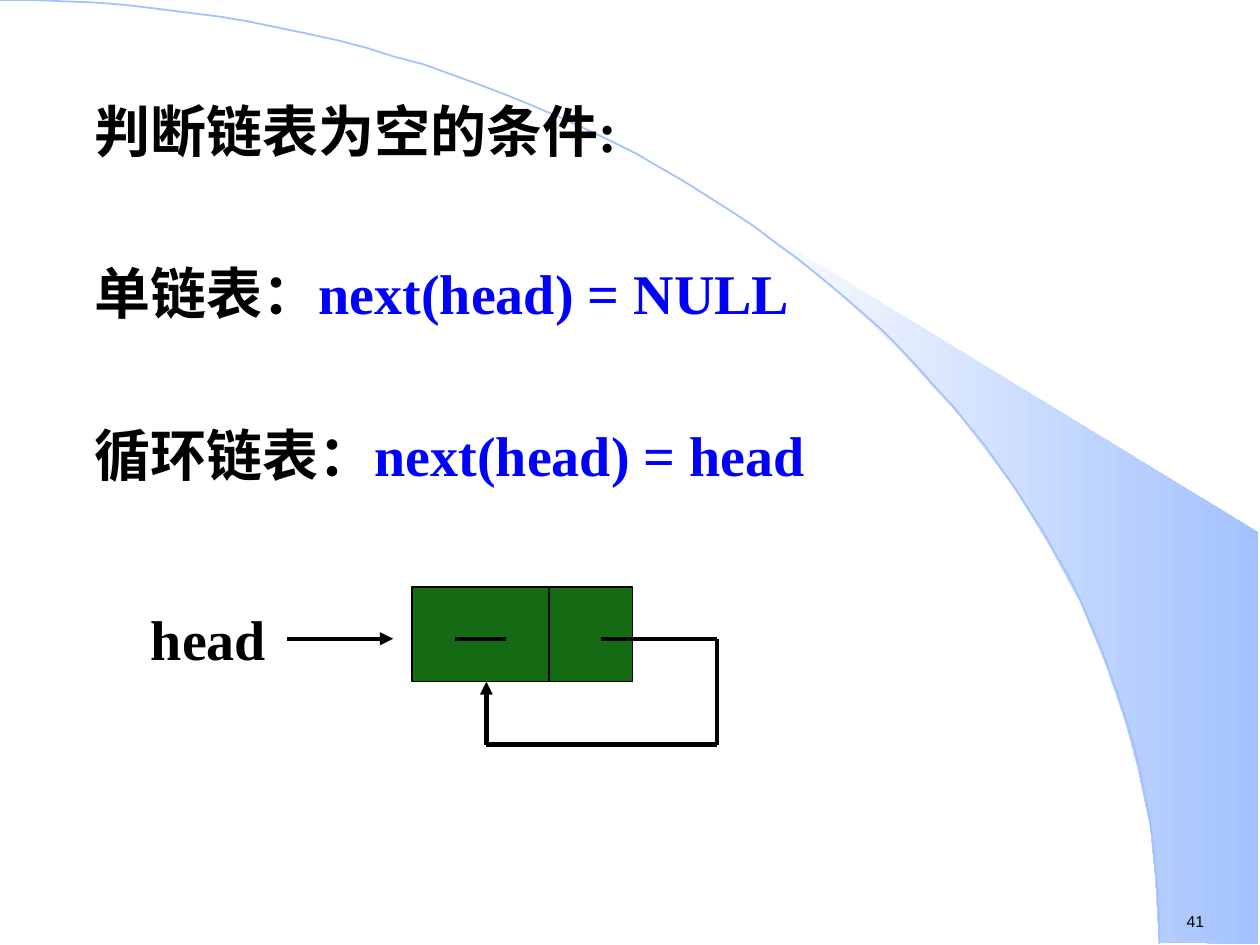
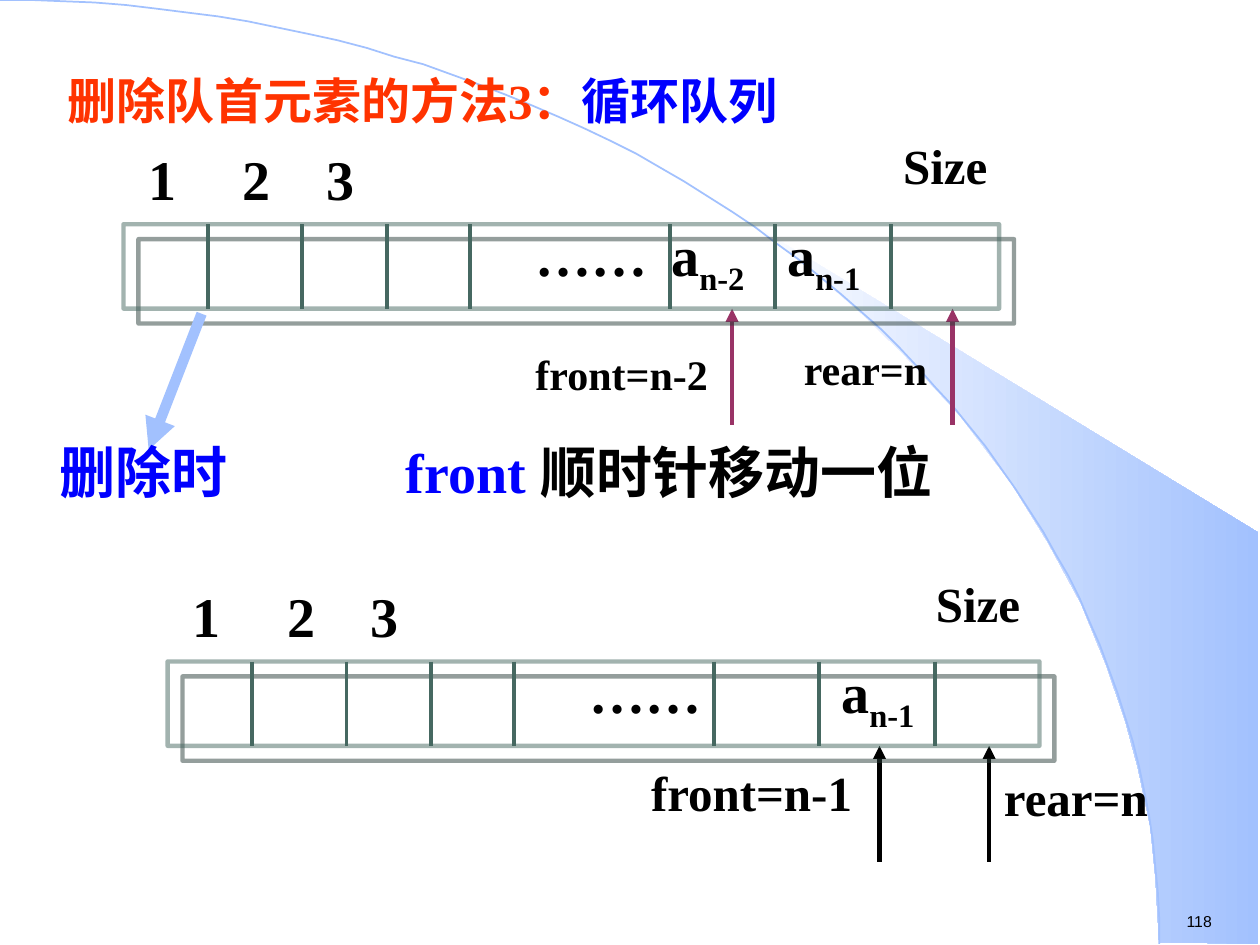
"""Build two slides on linked lists and circular queues."""
from lxml import etree
from pptx import Presentation
from pptx import util as u
from pptx.dml.color import RGBColor
from pptx.enum import shapes, text
from pptx.oxml.ns import qn

PX = 9144
BLACK = RGBColor(0x00, 0x00, 0x00)
WHITE = RGBColor(0xFF, 0xFF, 0xFF)
BLUE = RGBColor(0x00, 0x00, 0xFF)
ORANGE = RGBColor(0xFF, 0x33, 0x00)
SKY = RGBColor(0xA2, 0xC1, 0xFE)
GREEN = RGBColor(0x15, 0x6B, 0x13)
TEAL = RGBColor(0x46, 0x68, 0x61)
SHADE = RGBColor(0x2A, 0x3E, 0x3A)
PLUM = RGBColor(0x99, 0x33, 0x66)

WEDGE = [(920, 748), (999, 749), (999, 423), (589, 173), (624, 199), (653, 222),
         (685, 250), (716, 280), (762, 330), (803, 384), (832, 431), (858, 479),
         (878, 528), (893, 572), (903, 609), (913, 656), (917, 696)]
ARC = [(0, 0), (508, 0), (920, 335), (920, 749)]
DIVIDERS = [67, 142, 209, 275, 434, 517, 609]
CELL_HEIGHT = 67


def bezier(controls, steps):
    weights = (1, 3, 3, 1)
    points = []
    for step in range(steps + 1):
        t = step / steps
        blend = [w * (1 - t) ** (3 - i) * t ** i for i, w in enumerate(weights)]
        points.append(tuple(sum(b * c[axis] for b, c in zip(blend, controls))
                            for axis in (0, 1)))
    return points


def add_span(para, words, size=32, color=BLACK, font="Times New Roman", bold=True,
             subscript=False):
    span = para.add_run()
    span.text = words
    span.font.name = font
    span.font.size = u.Pt(size)
    span.font.bold = bold
    span.font.color.rgb = color
    if subscript:
        span._r.get_or_add_rPr().set("baseline", "-25000")


class Sketch:
    def __init__(self):
        self.deck = Presentation()
        self.deck.slide_width = 1000 * PX
        self.deck.slide_height = 750 * PX
        self.page = None

    def new_page(self, number):
        self.page = self.deck.slides.add_slide(self.deck.slide_layouts[6]).shapes
        wedge = self.outline(WEDGE, True)
        wedge.line.fill.background()
        wedge.fill.gradient()
        wedge.fill.gradient_angle = 0
        for stop, position, color in zip(wedge.fill.gradient_stops, (0, 1), (WHITE, SKY)):
            stop.position = position
            stop.color.rgb = color
        arc = self.outline(bezier(ARC, 60), False)
        arc.fill.background()
        arc.line.color.rgb = SKY
        arc.line.width = u.Pt(1)
        self.label(932, 719, 77, 25, number, size=9, font="Arial", bold=False)

    def outline(self, points, close):
        builder = self.page.build_freeform(*points[0], scale=PX)
        builder.add_line_segments(points[1:], close=close)
        shape = builder.convert_to_shape()
        shape.shadow.inherit = False
        return shape

    def rectangle(self, left, top, width, height, color, weight, fill=None):
        box = self.page.add_shape(shapes.MSO_SHAPE.RECTANGLE, left * PX, top * PX,
                                  width * PX, height * PX)
        box.shadow.inherit = False
        box.line.color.rgb = color
        box.line.width = u.Pt(weight)
        if fill is None:
            box.fill.background()
        else:
            box.fill.solid()
            box.fill.fore_color.rgb = fill
        return box

    def shadowed_frame(self, left, top, width, height):
        properties = self.rectangle(left, top, width, height, TEAL, 2.5)._element.spPr
        line_color = next(properties.iter(qn("a:srgbClr")))
        etree.SubElement(line_color, qn("a:alpha"), val="50000")
        shadow = etree.SubElement(properties.find(qn("a:effectLst")), qn("a:outerShdw"),
                                  dist=str(u.Pt(12.1)), dir="2700000", algn="ctr",
                                  rotWithShape="0")
        etree.SubElement(shadow, qn("a:srgbClr"), val=str(SHADE))

    def line(self, start, end, color=BLACK, weight=2.5, arrow=False):
        link = self.page.add_connector(shapes.MSO_CONNECTOR.STRAIGHT,
                                       *(n * PX for n in (*start, *end)))
        link.line.color.rgb = color
        link.line.width = u.Pt(weight)
        if arrow:
            etree.SubElement(link.line._get_or_add_ln(), qn("a:tailEnd"), type="triangle")
        etree.SubElement(link._element.spPr, qn("a:effectLst"))

    def text_box(self, left, top, width, height, paragraphs, inset=True, before=0,
                 spacing=None, align=None):
        box = self.page.add_textbox(left * PX, top * PX, width * PX, height * PX)
        frame = box.text_frame
        frame.word_wrap = True
        frame.margin_left = frame.margin_right = 10 * PX if inset else 0
        frame.margin_top = frame.margin_bottom = 5 * PX if inset else 0
        for index, spans in enumerate(paragraphs):
            para = frame.add_paragraph() if index else frame.paragraphs[0]
            para.alignment = align or text.PP_ALIGN.LEFT
            if index:
                para.space_before = u.Pt(before)
            if spacing:
                para.line_spacing = spacing
            for words, style in spans:
                add_span(para, words, **style)

    def label(self, left, top, width, height, words, inset=True, align=None, **style):
        self.text_box(left, top, width, height, [[(words, style)]], inset=inset, align=align)

    def queue(self, left, top, width, dots, size, items, pointers, color):
        for number, offset in zip("123", (10, 85, 151)):
            self.label(left + offset, top - 68, 50, 64, number)
        self.label(left + size, top - 75, 150, 57, "Size", size=28)
        bottom = top + CELL_HEIGHT
        for x in pointers:
            self.line((x, bottom + 92), (x, bottom), color, arrow=True)
        self.shadowed_frame(left, top, width, CELL_HEIGHT)
        for offset in DIVIDERS:
            x = left + offset
            self.line((x, top), (x, bottom), TEAL, 2.25)
        self.label(left + dots, top - 8, 126, 64, "……")
        for x, index in items:
            self.text_box(x, top - 8, 100, 71, [[("a", {}), (index, {"subscript": True})]])


def empty_list_page(sketch):
    sketch.new_page("41")
    conditions = [[("判断链表为空的条件:", {})]]
    for kind, test in (("单链表：", "next(head) = NULL"), ("循环链表：", "next(head) = head")):
        conditions.append([(kind, {}), (test, {"color": BLUE})])
    sketch.text_box(65, 72, 785, 358, conditions, before=54)

    sketch.rectangle(327, 466, 175, 75, BLACK, 1, GREEN)
    sketch.line((436, 466), (436, 541), weight=1)
    sketch.line((228, 507), (312, 507), arrow=True)
    sketch.line((361, 507), (402, 507))
    loop = [(477, 507), (569, 507), (569, 591), (386, 591), (386, 541)]
    for start, end in zip(loop, loop[1:]):
        sketch.line(start, end, arrow=end == loop[-1])
    sketch.label(110, 475, 130, 64, "head")


def circular_queue_page(sketch):
    sketch.new_page("118")
    sketch.queue(98, 178, 695, 317, 609, [(523, "n-2"), (615, "n-1")], (581, 756), PLUM)
    sketch.label(425, 277, 180, 40, "front=n-2", inset=False, size=24)
    sketch.label(638, 273, 124, 40, "rear=n", inset=False, size=24)
    sketch.text_box(44, 44, 650, 64, [[
        ("删除队首元素的方法3：", {"size": 28, "color": ORANGE}),
        ("循环队列", {"size": 28, "color": BLUE})]], spacing=1.15)
    sketch.line((160, 249), (118, 357), SKY, 6, arrow=True)
    sketch.label(47, 347, 200, 54, "删除时", inset=False, color=BLUE)
    sketch.text_box(322, 347, 465, 54, [[
        ("front ", {"color": BLUE}), ("顺时针移动一位", {})]], inset=False)

    sketch.label(787, 604, 180, 57, "rear=n", size=28)
    sketch.label(482, 600, 204, 57, "front=n-1", size=28, align=text.PP_ALIGN.RIGHT)
    sketch.queue(133, 525, 692, 325, 600, [(658, "n-1")], (698, 785), BLACK)


def main():
    sketch = Sketch()
    empty_list_page(sketch)
    circular_queue_page(sketch)
    sketch.deck.save("out.pptx")


if __name__ == "__main__":
    main()
